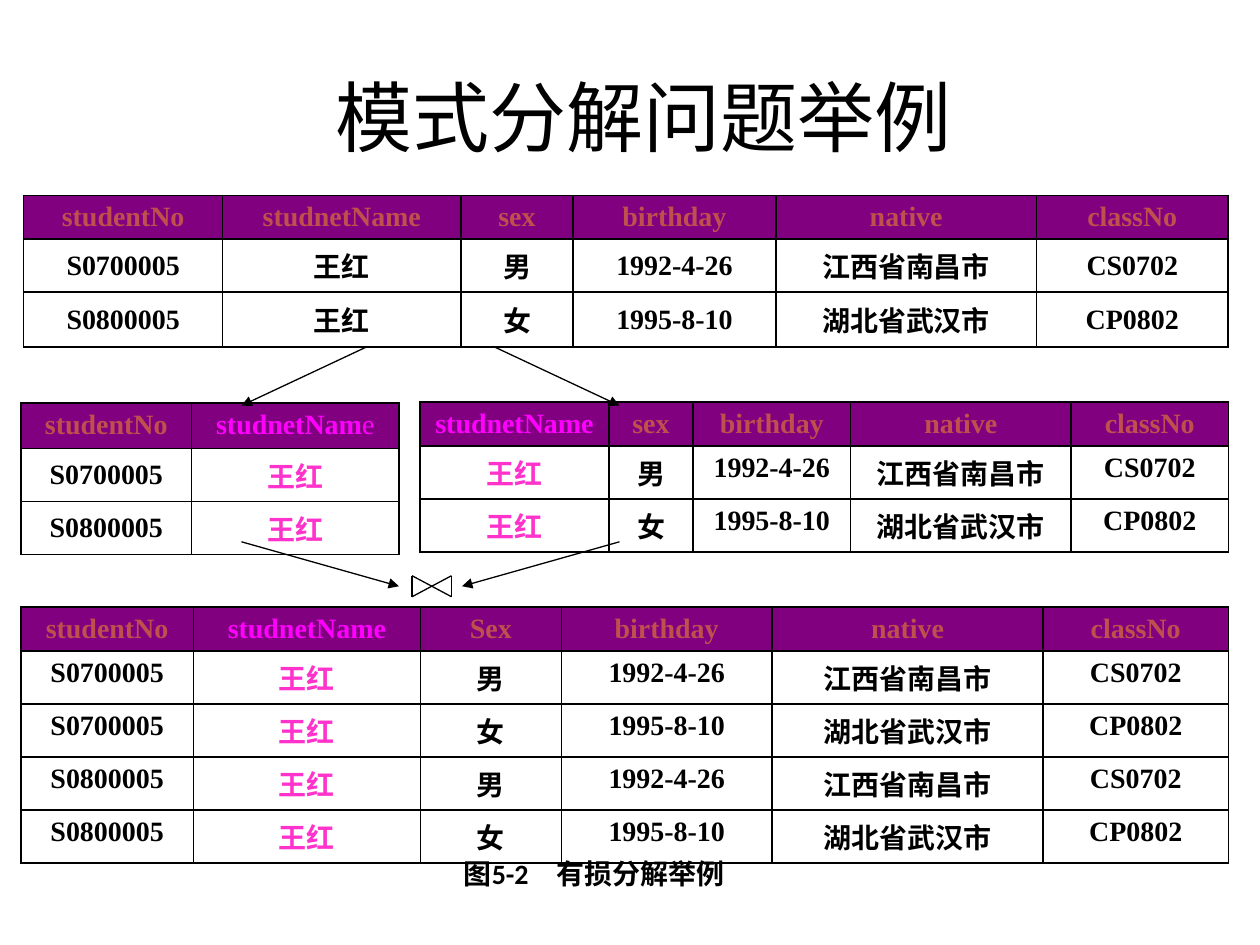
"""Build a slide that shows a lossy decomposition of a student relation."""
from itertools import product

from lxml import etree
from pptx import Presentation, util as u
from pptx.dml.color import RGBColor
from pptx.enum import shapes, text
from pptx.oxml import ns

THEME = {
    "ink": "000000", "header_fill": "800080", "header_ink": "C0504D",
    "key_header": "FF00FF", "key_ink": "FF33CC",
    "title_size": 44, "body_size": 16, "border": 1, "line": 0.75,
    "title_font": "Calibri", "table_font": "Times New Roman",
    "east_font": "Noto Sans CJK SC", "hang": 27,
}
MIDDLE, TOP = text.MSO_ANCHOR.MIDDLE, text.MSO_ANCHOR.TOP
CENTER = text.PP_ALIGN.CENTER

TITLE = " 模式分解问题举例"
CAPTION = "图5-2　有损分解举例"
HEADER = ["studentNo", "studnetName", "sex", "birthday", "native", "classNo"]
STUDENTS = [
    ["S0700005", "王红", "男", "1992-4-26", "江西省南昌市", "CS0702"],
    ["S0800005", "王红", "女", "1995-8-10", "湖北省武汉市", "CP0802"],
]
JOINED = [left[:2] + right[2:] for left, right in product(STUDENTS, STUDENTS)]

TABLES = [
    {"data": [HEADER] + STUDENTS, "at": (13.5, 111.6), "key": None,
     "columns": [113.8, 136.1, 64.1, 115.9, 149, 109.4],
     "rows": [20, 29, 31.5], "anchors": (MIDDLE, MIDDLE), "side": 7.2},
    {"data": [["studentNo", ("studnetNam", "e")]] + [row[:2] for row in STUDENTS],
     "at": (12, 230.4), "key": 1, "columns": [97.5, 118.5],
     "rows": [26, 24.5, 25], "anchors": (TOP, MIDDLE), "side": 7.2},
    {"data": [row[1:] for row in [HEADER] + STUDENTS], "at": (240, 229.8), "key": 0,
     "columns": [108, 48, 90, 126, 90],
     "rows": [25] * 3, "anchors": (TOP, TOP), "side": 1.5},
    {"data": [HEADER[:2] + ["Sex"] + HEADER[3:]] + JOINED, "at": (12, 347), "key": 1,
     "columns": [98.5, 129.8, 80.5, 120.5, 154.9, 105.8],
     "rows": [25] + [18] * 4, "anchors": (TOP, TOP), "side": 7.2},
]
ARROWS = [
    ((210, 198), (138, 231.8)), ((282, 198), (354, 231.8)),
    ((138, 309.6), (228, 335)), ((354, 309.6), (264, 335)),
]
BOWTIE = {"left": 235.5, "right": 258, "top": 329, "bottom": 341}


def apply(target, **values):
    for name, value in values.items():
        setattr(target, name, value)


def add_span(para, words, font, size, colour, bold):
    span = para.add_run()
    span.text = words
    apply(span.font, name=font, size=u.Pt(size), bold=bold)
    span.font.color.rgb = RGBColor.from_string(colour)
    east = etree.SubElement(span.font._element, ns.qn("a:ea"))
    east.set("typeface", THEME["east_font"])


def add_borders(cell):
    properties = cell._tc.get_or_add_tcPr()
    for position, side in enumerate(("lnL", "lnR", "lnT", "lnB")):
        line = etree.Element(ns.qn(f"a:{side}"), w=str(u.Pt(THEME["border"])))
        fill = etree.SubElement(line, ns.qn("a:solidFill"))
        etree.SubElement(fill, ns.qn("a:srgbClr"), val=THEME["ink"])
        properties.insert(position, line)


def fill_cell(cell, content, is_header, is_key, table):
    if is_header:
        cell.fill.solid()
        cell.fill.fore_color.rgb = RGBColor.from_string(THEME["header_fill"])
        colour = THEME["key_header" if is_key else "header_ink"]
    else:
        cell.fill.background()
        colour = THEME["key_ink" if is_key else "ink"]
    add_borders(cell)
    side, edge = u.Pt(table["side"]), u.Pt(3.6)
    apply(cell, vertical_anchor=table["anchors"][0 if is_header else 1],
          margin_left=side, margin_right=side, margin_top=edge, margin_bottom=edge)
    para = cell.text_frame.paragraphs[0]
    para.alignment = CENTER
    properties = para._p.get_or_add_pPr()
    properties.set("marL", str(u.Pt(THEME["hang"])))
    properties.set("indent", str(-u.Pt(THEME["hang"])))
    spans = content if isinstance(content, tuple) else (content,)
    for number, words in enumerate(spans):
        add_span(para, words, THEME["table_font"], THEME["body_size"], colour, number == 0)


def add_relation(page, table):
    data, columns, rows = table["data"], table["columns"], table["rows"]
    size = sum(columns), sum(rows)
    grid = page.shapes.add_table(len(rows), len(columns),
                                 *map(u.Pt, table["at"] + size)).table
    apply(grid, first_row=False, horz_banding=False)
    for column, width in zip(grid.columns, columns):
        column.width = u.Pt(width)
    for row, height in zip(grid.rows, rows):
        row.height = u.Pt(height)
    for r, record in enumerate(data):
        for c, content in enumerate(record):
            fill_cell(grid.cell(r, c), content, r == 0, c == table["key"], table)


def add_line(parent, start, end, arrow=False):
    line = parent.add_connector(shapes.MSO_CONNECTOR.STRAIGHT, *map(u.Pt, start + end))
    line.line.width = u.Pt(THEME["line"])
    line.line.color.rgb = RGBColor.from_string(THEME["ink"])
    if arrow:
        etree.SubElement(line.line._ln, ns.qn("a:tailEnd"), type="triangle")
    etree.SubElement(line._element.spPr, ns.qn("a:effectLst"))


def add_bowtie(page):
    group = page.shapes.add_group_shape()
    left, right, top, bottom = (BOWTIE[k] for k in ("left", "right", "top", "bottom"))
    corners = [(left, top), (left, bottom), (right, top), (right, bottom)]
    for first, second in ((0, 1), (0, 3), (1, 2), (2, 3)):
        add_line(group.shapes, corners[first], corners[second])


def place(box, left, top, width, height):
    apply(box, left=u.Pt(left), top=u.Pt(top), width=u.Pt(width), height=u.Pt(height))


def main():
    deck = Presentation()
    apply(deck, slide_width=u.Pt(720), slide_height=u.Pt(540))
    page = deck.slides.add_slide(deck.slide_layouts[5])

    title = page.shapes.title
    place(title, 66, 42, 594, 48)
    apply(title.text_frame, vertical_anchor=MIDDLE, word_wrap=True,
          auto_size=text.MSO_AUTO_SIZE.NONE)
    para = title.text_frame.paragraphs[0]
    para.alignment = CENTER
    add_span(para, TITLE, THEME["title_font"], THEME["title_size"], THEME["ink"], False)

    for table in TABLES:
        add_relation(page, table)
    for start, end in ARROWS:
        add_line(page.shapes, start, end, arrow=True)
    add_bowtie(page)

    caption = page.shapes.add_textbox(*map(u.Pt, (258, 486, 282, 26.6)))
    apply(caption.text_frame, word_wrap=True,
          auto_size=text.MSO_AUTO_SIZE.SHAPE_TO_FIT_TEXT)
    add_span(caption.text_frame.paragraphs[0], CAPTION, THEME["title_font"],
             THEME["body_size"], THEME["ink"], True)
    deck.save("out.pptx")


if __name__ == "__main__":
    main()
